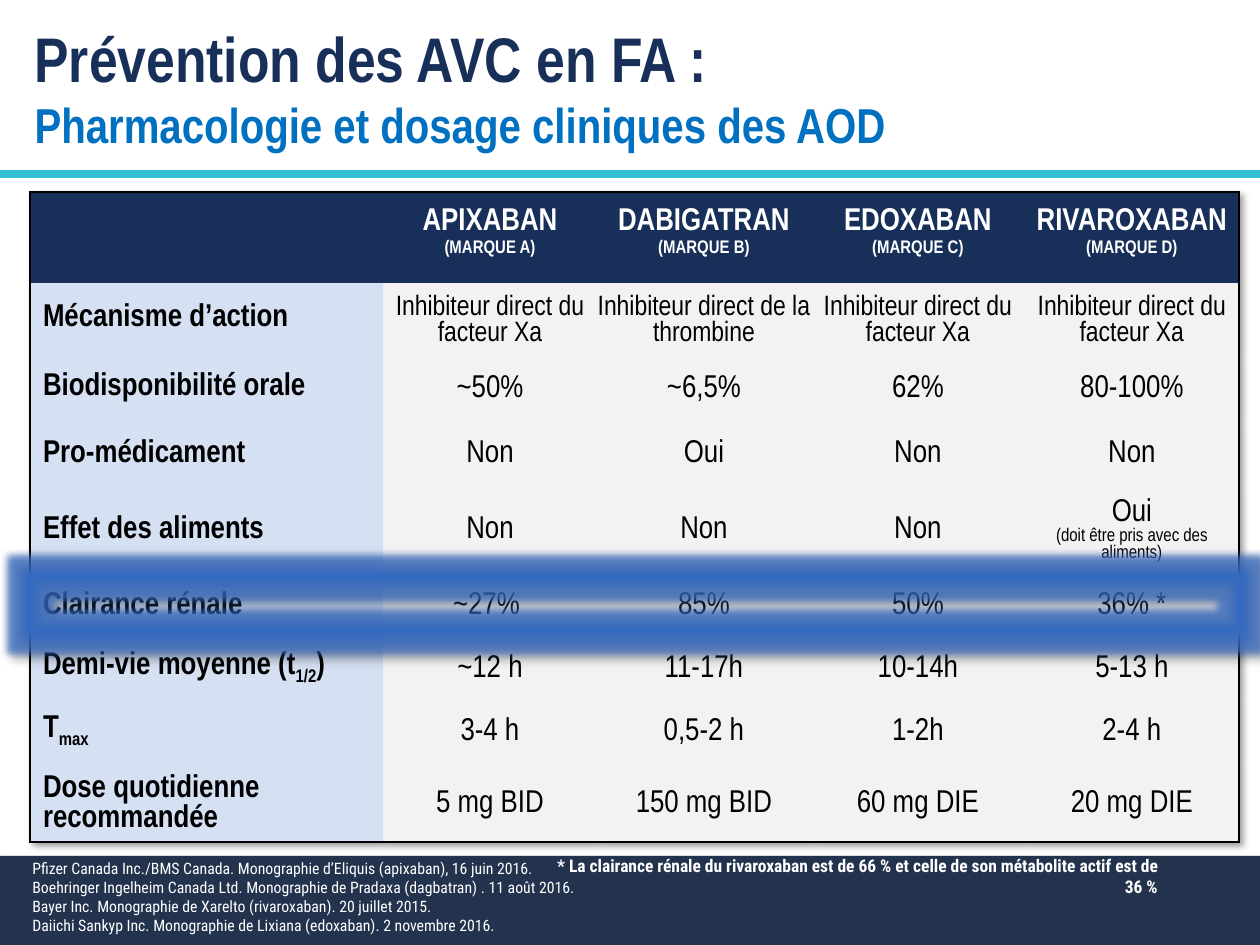
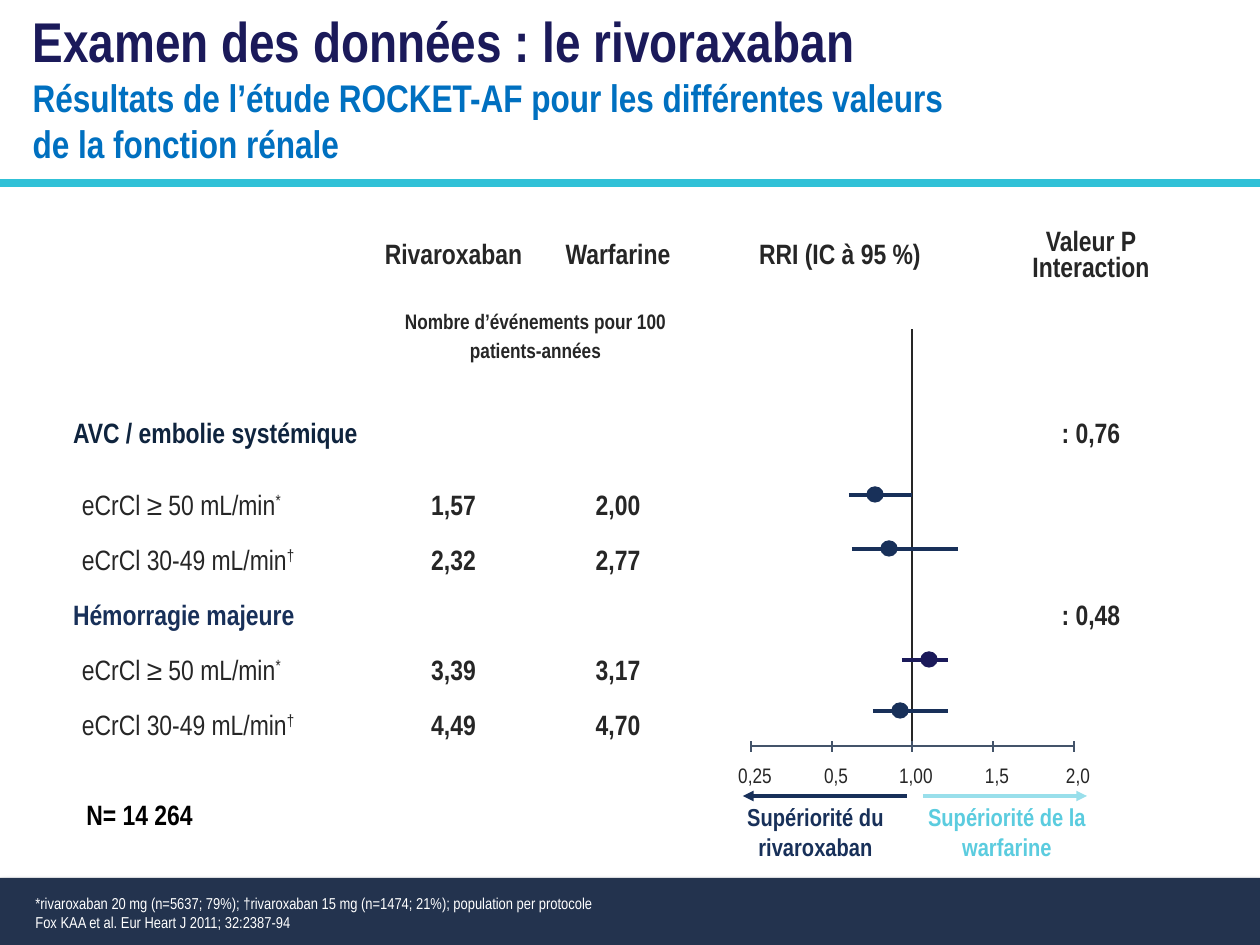
import pptx
import pptx.util
import pptx.dml.color
import pptx.enum.shapes
import pptx.enum.text
import pptx.oxml
import pptx.oxml.ns

SCALE = 914400 / 126
INK = {
    "band": "23334E", "rule": "30C1D7", "navy": "183059", "plum": "1B1A5A",
    "blue": "0070C0", "pale": "D5E0F3", "grey": "F2F2F2", "white": "FFFFFF",
    "black": "000000", "dark": "262626", "deep": "0F243E", "axis": "44546A",
    "frame": "356AC1", "aqua": "5BCCDF", "ice": "99DFEB",
}
FACE = "Arial Narrow"
NOTE = "Roboto Condensed"
PLAIN = "{2D5ABB26-0587-4C30-8999-92F81FD0307C}"
MID = pptx.enum.text.MSO_ANCHOR.MIDDLE
TOP = pptx.enum.text.MSO_ANCHOR.TOP
LEFT = pptx.enum.text.PP_ALIGN.LEFT
CENTER = pptx.enum.text.PP_ALIGN.CENTER
RIGHT = pptx.enum.text.PP_ALIGN.RIGHT
FORM = pptx.enum.shapes.MSO_SHAPE

HEADS = [("APIXABAN", "(MARQUE A)"), ("DABIGATRAN", "(MARQUE B)"),
         ("EDOXABAN", "(MARQUE C)"), ("RIVAROXABAN", "(MARQUE D)")]
DRUGS = [
    ("Mécanisme d’action", "Inhibiteur direct du facteur Xa",
     "Inhibiteur direct de la thrombine", "Inhibiteur direct du facteur Xa",
     "Inhibiteur direct du facteur Xa"),
    ("Biodisponibilité orale", "~50%", "~6,5%", "62%", "80-100%"),
    ("Pro-médicament", "Non", "Oui", "Non", "Non"),
    ("Effet des aliments", "Non", "Non", "Non", "Oui"),
    ("Clairance rénale", "~27%\u00a0", "85%", "50%", "36%\u00a0*"),
    ([("Demi-vie moyenne (t", 0), ("1/2", -25), (")", 0)],
     "~12 h", "11-17h", "10-14h", "5-13 h"),
    ([("T", 0), ("max", -25)], "3-4 h", "0,5-2 h", "1-2h", "2-4 h"),
    ("Dose quotidienne recommandée", "5 mg BID", "150 mg BID", "60 mg DIE",
     "20 mg DIE"),
]
HIGH = [("eCrCl ≥ 50 mL/min", 0), ("*", 30)]
LOW = [("eCrCl 30-49 mL/min", 0), ("†", 30)]
# label, rivaroxaban, warfarin, interaction
RATES = [
    ("AVC / embolie systémique", "", "", ": 0,76"),
    (HIGH, "1,57", "2,00", ""),
    (LOW, "2,32", "2,77", ""),
    ("Hémorragie majeure", "", "", ": 0,48"),
    (HIGH, "3,39", "3,17", ""),
    (LOW, "4,49", "4,70", ""),
]
# y, low end, high end, estimate, colour
RATIOS = [(495, 849, 912, 875, "navy"), (549, 852, 958, 889, "navy"),
          (660, 902, 948, 929, "plum"), (711, 873, 948, 900, "navy")]


def px(n):
    return pptx.util.Emu(round(n * SCALE))


def rgb(ink):
    return pptx.dml.color.RGBColor.from_string(INK[ink])


def xml(tag, body="", attrs=""):
    space = pptx.oxml.ns.nsdecls("a")
    return pptx.oxml.parse_xml(f"<a:{tag} {space} {attrs}>{body}</a:{tag}>")


def tint(ink, alpha):
    return f'<a:srgbClr val="{INK[ink]}"><a:alpha val="{alpha * 1000}"/></a:srgbClr>'


def cast(alpha, blur, dist, turn):
    """Outer shadow, lengths in points, angle in degrees."""
    return xml("outerShdw", tint("black", alpha),
               f'blurRad="{round(blur * 12700)}" dist="{round(dist * 12700)}" '
               f'dir="{turn * 60000}" rotWithShape="0"')


def write(par, text, size, ink, bold=False, face=FACE, align=LEFT, gap=None):
    """Fill a paragraph with a string or with (text, baseline) pieces."""
    par.alignment = align
    if gap:
        par.line_spacing = gap
    font = par.font
    font.size, font.name, font.bold = pptx.util.Pt(size), face, bold
    font.color.rgb = rgb(ink)
    for piece, base in ([(text, 0)] if isinstance(text, str) else text):
        run = par.add_run()
        run.text = piece
        if base:
            run.font._element.set("baseline", str(base * 1000))


def fill(frame, lines):
    """Write one paragraph per (text, size, ink, options) line."""
    for i, (text, size, ink, more) in enumerate(lines):
        par = frame.add_paragraph() if i else frame.paragraphs[0]
        write(par, text, size, ink, **more)


def pad(item, left, top, right, bottom):
    item.margin_left, item.margin_top = px(left), px(top)
    item.margin_right, item.margin_bottom = px(right), px(bottom)


def label(slide, box, lines, anchor=TOP, wrap=True, inset=None):
    frame = slide.shapes.add_textbox(*map(px, box)).text_frame
    frame.word_wrap = wrap
    frame.vertical_anchor = anchor
    if inset is not None:
        pad(frame, *[inset] * 4)
    fill(frame, lines)


def shape(slide, form, box, ink=None, edge=None, width=1):
    item = slide.shapes.add_shape(form, *map(px, box))
    item.shadow.inherit = False
    if ink:
        item.fill.solid()
        item.fill.fore_color.rgb = rgb(ink)
    else:
        item.fill.background()
    if edge:
        item.line.color.rgb = rgb(edge)
        item.line.width = pptx.util.Pt(width)
    else:
        item.line.fill.background()
    return item


def effects(item):
    return item._element.spPr.find(pptx.oxml.ns.qn("a:effectLst"))


def line(slide, start, end, ink, width, arrow=False):
    item = slide.shapes.add_connector(
        pptx.enum.shapes.MSO_CONNECTOR.STRAIGHT, *map(px, start + end))
    item.line.color.rgb = rgb(ink)
    item.line.width = pptx.util.Pt(width)
    if arrow:
        item.line._get_or_add_ln().append(xml("tailEnd", attrs='type="triangle"'))
    item._element.spPr.append(xml("effectLst"))


def start(deck, box, lines, rule, foot):
    """New slide with its title, the rule under it and the footer band."""
    slide = deck.slides.add_slide(deck.slide_layouts[5])
    band = shape(slide, FORM.RECTANGLE, (0, foot, 1260, 945 - foot), "band")
    effects(band).append(cast(35, 3.1, 1.8, 90))
    line(slide, (0, rule), (1260, rule), "rule", 4.5)
    title = slide.shapes.title
    title.left, title.top, title.width, title.height = map(px, box)
    frame = title.text_frame
    frame.auto_size = pptx.enum.text.MSO_AUTO_SIZE.NONE
    frame.word_wrap = True
    frame.vertical_anchor = TOP
    fill(frame, [(text, size, ink, {"bold": True}) for text, size, ink in lines])
    return slide


def grid(slide, left, top, cols, rows):
    holder = slide.shapes.add_table(
        len(rows), len(cols), px(left), px(top), px(sum(cols)), px(sum(rows)))
    table = holder.table
    table.first_row = table.horz_banding = False
    prop = table._tbl.tblPr
    prop.find(pptx.oxml.ns.qn("a:tableStyleId")).text = PLAIN
    for col, width in zip(table.columns, cols):
        col.width = px(width)
    for row, height in zip(table.rows, rows):
        row.height = px(height)
    return table


def cell(table, row, col, lines, inset, ink=None, anchor=MID):
    item = table.cell(row, col)
    item.vertical_anchor = anchor
    pad(item, *inset)
    if ink:
        item.fill.solid()
        item.fill.fore_color.rgb = rgb(ink)
    else:
        item.fill.background()
    fill(item.text_frame, lines)


def border(table):
    """Draw a thin black line round the whole table."""
    down, across = len(table.rows) - 1, len(table.columns) - 1
    for r in range(down + 1):
        for c in range(across + 1):
            sides = [("lnL", c == 0), ("lnR", c == across),
                     ("lnT", r == 0), ("lnB", r == down)]
            prop = table.cell(r, c)._tc.get_or_add_tcPr()
            for i, tag in enumerate(tag for tag, edge in sides if edge):
                body = f'<a:solidFill><a:srgbClr val="{INK["black"]}"/></a:solidFill>'
                prop.insert(i, xml(tag, body, 'w="12700"'))


def drugs(slide):
    table = grid(slide, 30, 192, [353] + [214] * 4,
                 [91, 71, 66, 63, 89, 63, 63, 63, 81])
    cell(table, 0, 0, [], (9, 0, 9, 0), "navy")
    for c, (name, brand) in enumerate(HEADS, 1):
        look = {"bold": True, "align": CENTER, "gap": 1.1}
        cell(table, 0, c, [(name, 18, "white", look),
                           ([(brand, 30)], 18, "white", look)], (9, 0, 9, 0), "navy")
    for r, (name, *values) in enumerate(DRUGS, 1):
        low = 6 if r < 3 else 0
        cell(table, r, 0, [(name, 18, "black", {"bold": True})],
             (13, 6, 13, low), "pale")
        for c, value in enumerate(values, 1):
            size = 16 if r == 1 else 18
            lines = [(value, size, "black", {"align": CENTER})]
            if (r, c) == (4, 4):
                lines.append(("(doit être pris avec des aliments)", 10.5, "black",
                              {"align": CENTER}))
            cell(table, r, c, lines, (0, 6, 0, 0), "grey")
    border(table)
    glow = xml("effectLst")
    glow.append(cast(40, 4, 3, 45))
    table._tbl.tblPr.insert(0, glow)


def rates(slide):
    table = grid(slide, 60, 213, [311, 165, 164, 280, 222], [88, 85, 88] + [55] * 5)
    inset = (13, 3, 13, 3)
    mid = {"bold": True, "align": CENTER}
    heads = [[], ["Rivaroxaban"], ["Warfarine"], ["RRI (IC à 95 %)"],
             ["Valeur P", "Interaction"]]
    for c, head in enumerate(heads):
        cell(table, 0, c, [(text, 16, "dark", mid) for text in head], inset)
    table.cell(1, 1).merge(table.cell(1, 2))
    cell(table, 1, 1, [("Nombre d’événements pour 100 patients-années", 12, "dark",
                        {**mid, "gap": 1.5})], inset, anchor=TOP)
    for r, (name, *values) in enumerate(RATES, 2):
        group = isinstance(name, str)
        ink = {2: "deep", 5: "navy"}.get(r, "dark")
        cell(table, r, 0, [(name, 16, ink, {"bold": group, "gap": 1.5})],
             inset if group else (22, 3, 13, 3))
        for c, value in zip((1, 2, 4), values):
            if value:
                cell(table, r, c, [(value, 16, "dark", {**mid, "gap": 1.5})], inset)


def forest(slide):
    """Axis, reference line and one interval per subgroup."""
    left, right, base = 751, 1074, 746
    line(slide, (912, 751), (912, 329), "dark", 1)
    line(slide, (left, base), (right, base), "axis", 1)
    for i, text in enumerate(["0,25", "0,5", "1,00", "1,5", "2,0"]):
        x = round(left + i * (right - left) / 4)
        line(slide, (x, base + 6), (x, base - 5), "axis", 1)
        label(slide, (x - 21, 763, 50, 25),
              [(text, 12, "dark", {"align": CENTER})], inset=0)
    for y, low, high, mean, ink in RATIOS:
        line(slide, (low, y), (high, y), ink, 2)
        shape(slide, FORM.OVAL, (mean - 8, y - 8, 16, 15), ink, ink, 0.75)
    sides = [("Supériorité du rivaroxaban", 713, 205, "navy", 907, 743, "navy"),
             ("Supériorité de la warfarine", 918, 178, "aqua", 923, 1087, "ice")]
    for text, x, width, ink, tail, tip, hue in sides:
        label(slide, (x, 802, width, 59),
              [(text, 14, ink, {"bold": True, "align": CENTER})], MID, inset=0)
        line(slide, (tail, 796), (tip, 796), hue, 2, True)


def main():
    deck = pptx.Presentation()
    deck.slide_width, deck.slide_height = px(1260), px(945)

    slide = start(deck, (22, 13, 946, 149),
                  [("Prévention des AVC en FA :", 36, "navy"),
                   ("Pharmacologie et dosage cliniques des AOD", 28, "blue")], 174, 856)
    drugs(slide)
    cites = ["Pfizer Canada Inc./BMS Canada. Monographie d’Eliquis (apixaban), 16 juin 2016.",
             "Boehringer Ingelheim Canada Ltd. Monographie de Pradaxa (dagbatran) . 11 août 2016.",
             "Bayer Inc. Monographie de Xarelto (rivaroxaban). 20 juillet 2015.",
             "Daiichi Sankyp Inc. Monographie de Lixiana (edoxaban). 2 novembre 2016."]
    label(slide, (20, 853, 598, 90),
          [(text, 9, "white", {"face": NOTE}) for text in cites])
    label(slide, (539, 851, 631, 50),
          [("* La clairance rénale du rivaroxaban est de 66 % et celle de son métabolite "
            "actif est de 36 %", 10, "white",
            {"bold": True, "face": NOTE, "align": RIGHT})], MID)
    frame = shape(slide, FORM.RECTANGLE, (29, 577, 1210, 53), None, "frame", 3)
    effects(frame).append(xml("glow", tint("frame", 75), 'rad="101600"'))
    effects(frame).append(cast(40, 4, 3, 45))

    slide = start(deck, (20, 0, 965, 174),
                  [("Examen des données : le rivoraxaban", 32, "plum"),
                   ("Résultats de l’étude ROCKET-AF pour les différentes valeurs "
                    "de la fonction rénale", 22, "blue")], 183, 878)
    rates(slide)
    forest(slide)
    label(slide, (74, 791, 132, 47), [("N= 14 264", 16, "black", {"bold": True})],
          wrap=False)
    notes = ["*rivaroxaban 20 mg (n=5637; 79%); †rivaroxaban 15 mg (n=1474; 21%); "
             "population per protocole",
             "Fox KAA et al. Eur Heart J 2011; 32:2387-94"]
    label(slide, (23, 888, 598, 50), [(text, 9, "white", {}) for text in notes])
    deck.save("out.pptx")


if __name__ == "__main__":
    main()
